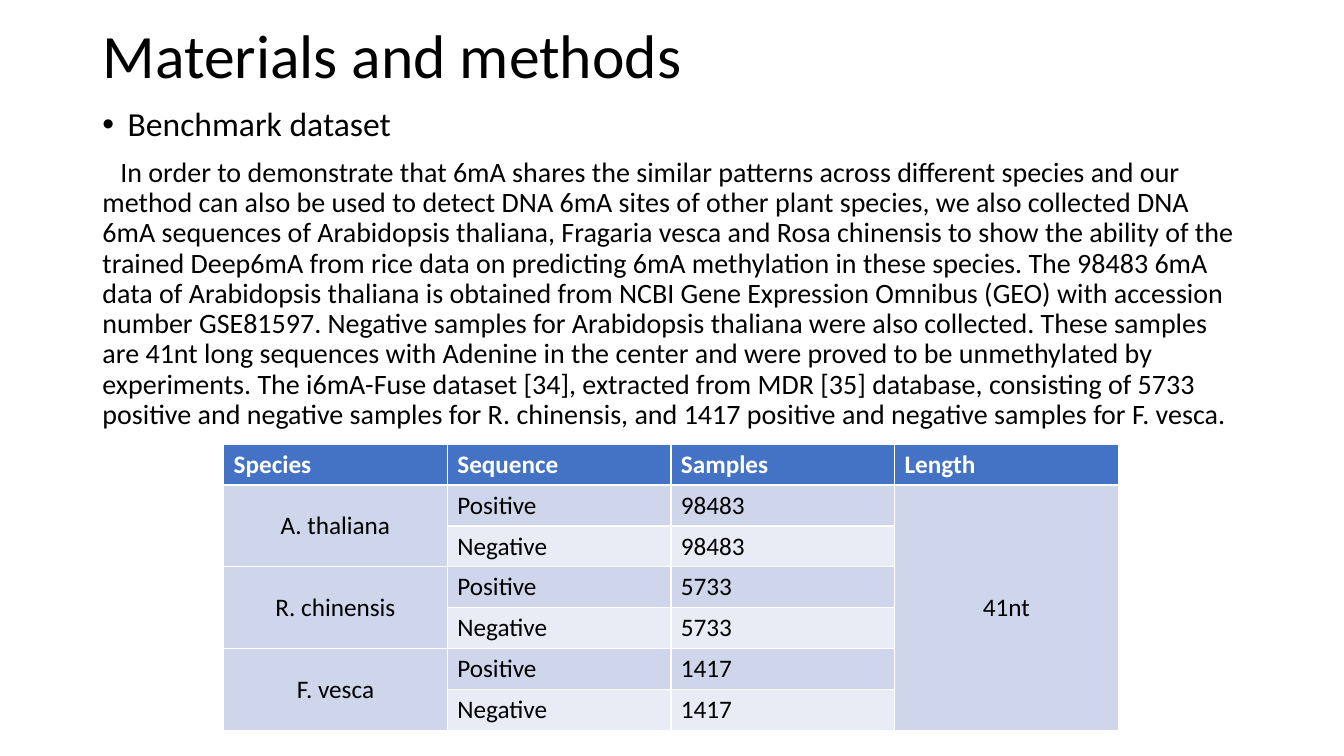
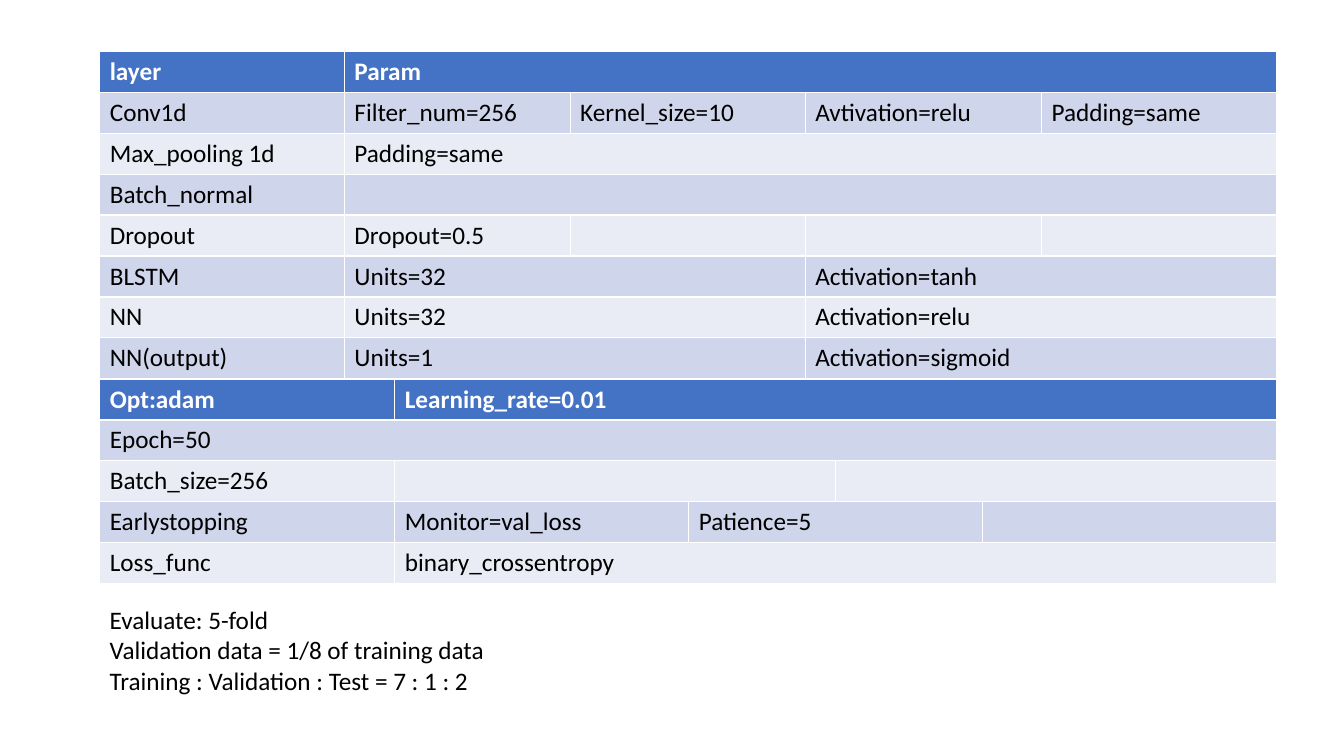
from itertools import takewhile

from lxml.etree import SubElement
from pptx import Presentation
from pptx.dml.color import RGBColor
from pptx.enum.text import MSO_ANCHOR as Anchor, MSO_AUTO_SIZE as AutoSize, PP_ALIGN as Align
from pptx.oxml.ns import qn
from pptx.util import Pt

SCALE = 9525
FONT = "Calibri"
COLORS = {
    "text": "000000",
    "header": "4472C4",
    "header_text": "FFFFFF",
    "band_dark": "CFD5EA",
    "band_light": "E9EBF5",
}
ROW_HEIGHT = 39
LEFT, UP = "<", "^"

DATASET_ROWS = [
    ("Species", "Sequence", "Samples", "Length"),
    ("A. thaliana", "Positive", "98483", "41nt"),
    (UP, "Negative", "98483", UP),
    ("R. chinensis", "Positive", "5733", UP),
    (UP, "Negative", "5733", UP),
    ("F. vesca", "Positive", "1417", UP),
    (UP, "Negative", "1417", UP),
]
LAYER_ROWS = [
    ("layer", "Param", LEFT, LEFT, LEFT),
    ("Conv1d", "Filter_num=256", "Kernel_size=10", "Avtivation=relu", "Padding=same"),
    ("Max_pooling 1d", "Padding=same", LEFT, LEFT, LEFT),
    ("Batch_normal", "", LEFT, LEFT, LEFT),
    ("Dropout", "Dropout=0.5", "", "", ""),
    ("BLSTM", "Units=32", LEFT, "Activation=tanh", LEFT),
    ("NN", "Units=32", LEFT, "Activation=relu", LEFT),
    ("NN(output)", "Units=1", LEFT, "Activation=sigmoid", LEFT),
]
TRAINING_ROWS = [
    ("Opt:adam", "Learning_rate=0.01", LEFT, LEFT, LEFT),
    ("Epoch=50", LEFT, LEFT, LEFT, LEFT),
    ("Batch_size=256", "", LEFT, "", LEFT),
    ("Earlystopping", "Monitor=val_loss", "Patience=5", LEFT, ""),
    ("Loss_func", "binary_crossentropy", LEFT, LEFT, LEFT),
]
DATASET_SENTENCES = [
    "In order to demonstrate that 6mA shares the similar patterns across different species "
    "and our method can also be used to detect DNA 6mA sites of other plant species, we also "
    "collected DNA 6mA sequences of Arabidopsis thaliana, Fragaria vesca and Rosa chinensis to "
    "show the ability of the trained Deep6mA from rice data on predicting 6mA methylation in "
    "these species.",
    "The 98483 6mA data of Arabidopsis thaliana is obtained from NCBI Gene Expression Omnibus "
    "(GEO) with accession number GSE81597.",
    "Negative samples for Arabidopsis thaliana were also collected.",
    "These samples are 41nt long sequences with Adenine in the center and were proved to be "
    "unmethylated by experiments.",
    "The i6mA-Fuse dataset [34], extracted from MDR [35] database, consisting of 5733 positive "
    "and negative samples for R. chinensis, and 1417 positive and negative samples for F. vesca.",
]
EVALUATION_LINES = [
    "Evaluate: 5-fold",
    "Validation data = 1/8 of training data",
    "Training : Validation : Test = 7 : 1 : 2",
]


def px(*lengths):
    return [length * SCALE for length in lengths]


def add_span(para, text, size, color="text", bold=False):
    span = para.add_run()
    span.text = text
    span.font.name = FONT
    span.font.size = Pt(size)
    span.font.bold = bold
    span.font.color.rgb = RGBColor.from_string(COLORS[color])


def place(shape, box):
    shape.left, shape.top, shape.width, shape.height = px(*box)
    shape.text_frame.word_wrap = True
    shape.text_frame.auto_size = AutoSize.NONE


def set_indent(para, margin, first_line, bullet=None):
    properties = para._p.get_or_add_pPr()
    for name, length in zip(("marL", "indent"), px(margin, first_line)):
        properties.set(name, str(length))
    if bullet:
        SubElement(properties, qn("a:buFont"), typeface="Arial")
        SubElement(properties, qn("a:buChar"), char=bullet)
    else:
        SubElement(properties, qn("a:buNone"))


def fill_title(page, box, text):
    title = page.shapes.title
    place(title, box)
    title.text_frame.vertical_anchor = Anchor.MIDDLE
    para = title.text_frame.paragraphs[0]
    para.alignment = Align.LEFT
    para.line_spacing = 0.9
    add_span(para, text, 44)


def fill_body(page, box, heading, sentences):
    body = page.placeholders[1]
    place(body, box)
    frame = body.text_frame
    paras = frame.paragraphs[0], frame.add_paragraph()
    for para in paras:
        para.line_spacing = 0.9
        para.space_before = Pt(10)
    set_indent(paras[0], 24, -24, "•")
    add_span(paras[0], heading, 24)
    set_indent(paras[1], 0, 17)
    add_span(paras[1], " ".join(sentences), 20)


def count_marks(cells, mark):
    return len(list(takewhile(lambda text: text == mark, cells)))


def row_style(row):
    if row == 0:
        return "header", "header_text"
    return ("band_dark" if row % 2 else "band_light"), "text"


def add_grid(page, left, top, widths, rows):
    box = px(left, top, sum(widths), ROW_HEIGHT * len(rows))
    table = page.shapes.add_table(len(rows), len(widths), *box).table
    for column, width in zip(table.columns, px(*widths)):
        column.width = width
    for row, texts in enumerate(rows):
        table.rows[row].height = px(ROW_HEIGHT)[0]
        fill, color = row_style(row)
        for col, text in enumerate(texts):
            cell = table.cell(row, col)
            cell.fill.solid()
            cell.fill.fore_color.rgb = RGBColor.from_string(COLORS[fill])
            if text in (LEFT, UP):
                continue
            across = count_marks(texts[col + 1:], LEFT)
            down = count_marks([below[col] for below in rows[row + 1:]], UP)
            if across or down:
                cell.merge(table.cell(row + down, col + across))
            para = cell.text_frame.paragraphs[0]
            if down:
                cell.vertical_anchor = Anchor.MIDDLE
                para.alignment = Align.CENTER
            if text:
                add_span(para, text, 18, color, row == 0)


def add_lines(page, box, lines):
    note = page.shapes.add_textbox(*px(*box))
    place(note, box)
    frame = note.text_frame
    for index, line in enumerate(lines):
        para = frame.add_paragraph() if index else frame.paragraphs[0]
        add_span(para, line, 18)


def build_dataset_page(deck):
    page = deck.slides.add_slide(deck.slide_layouts[1])
    fill_title(page, (88, 14, 1104, 84), "Materials and methods")
    fill_body(page, (88, 98, 1104, 563), "Benchmark dataset", DATASET_SENTENCES)
    add_grid(page, 213, 423, [213] * 4, DATASET_ROWS)


def build_model_page(deck):
    page = deck.slides.add_slide(deck.slide_layouts[6])
    left, top = 95, 49
    add_grid(page, left, top, [233, 215, 224, 225, 224], LAYER_ROWS)
    training_top = top + ROW_HEIGHT * len(LAYER_ROWS)
    add_grid(page, left, training_top, [281, 280, 140, 140, 280], TRAINING_ROWS)
    add_lines(page, (left, 571, 1121, 97), EVALUATION_LINES)


def main():
    deck = Presentation()
    deck.slide_width, deck.slide_height = px(1280, 720)
    build_dataset_page(deck)
    build_model_page(deck)
    deck.save("out.pptx")


if __name__ == "__main__":
    main()
